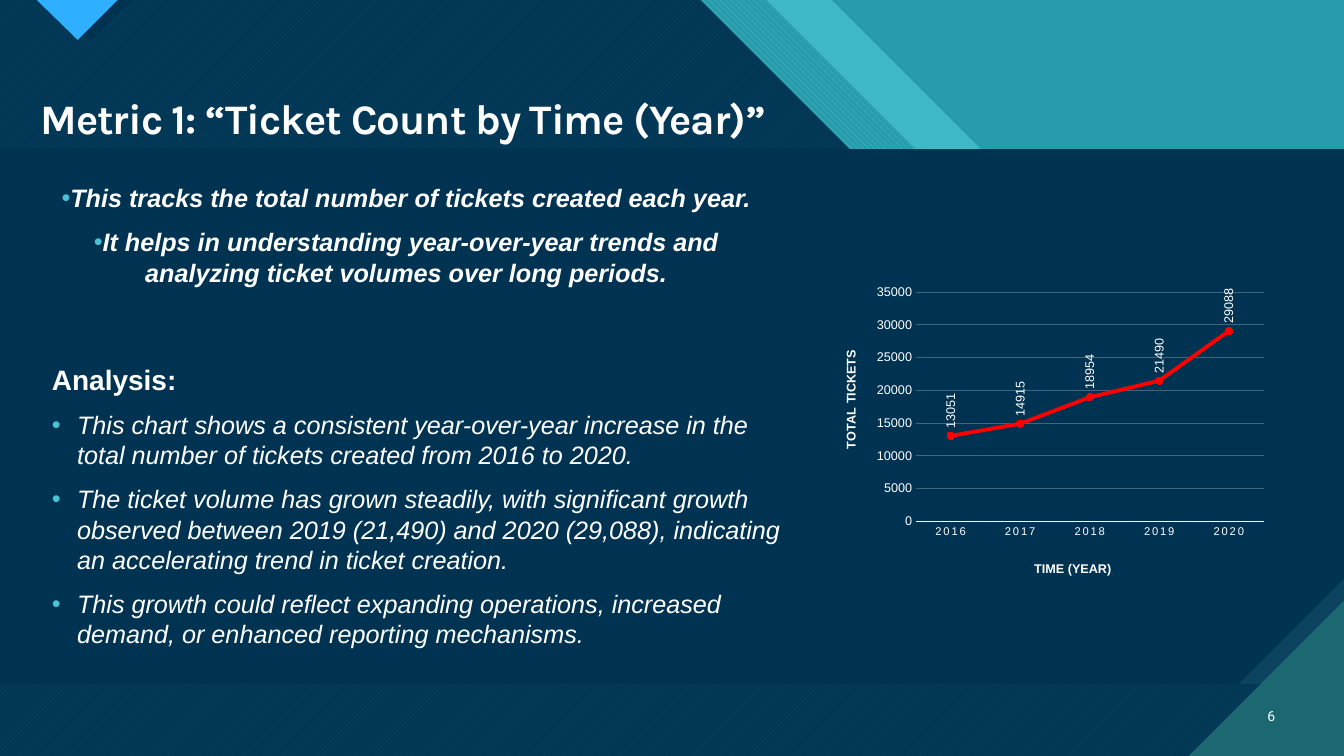
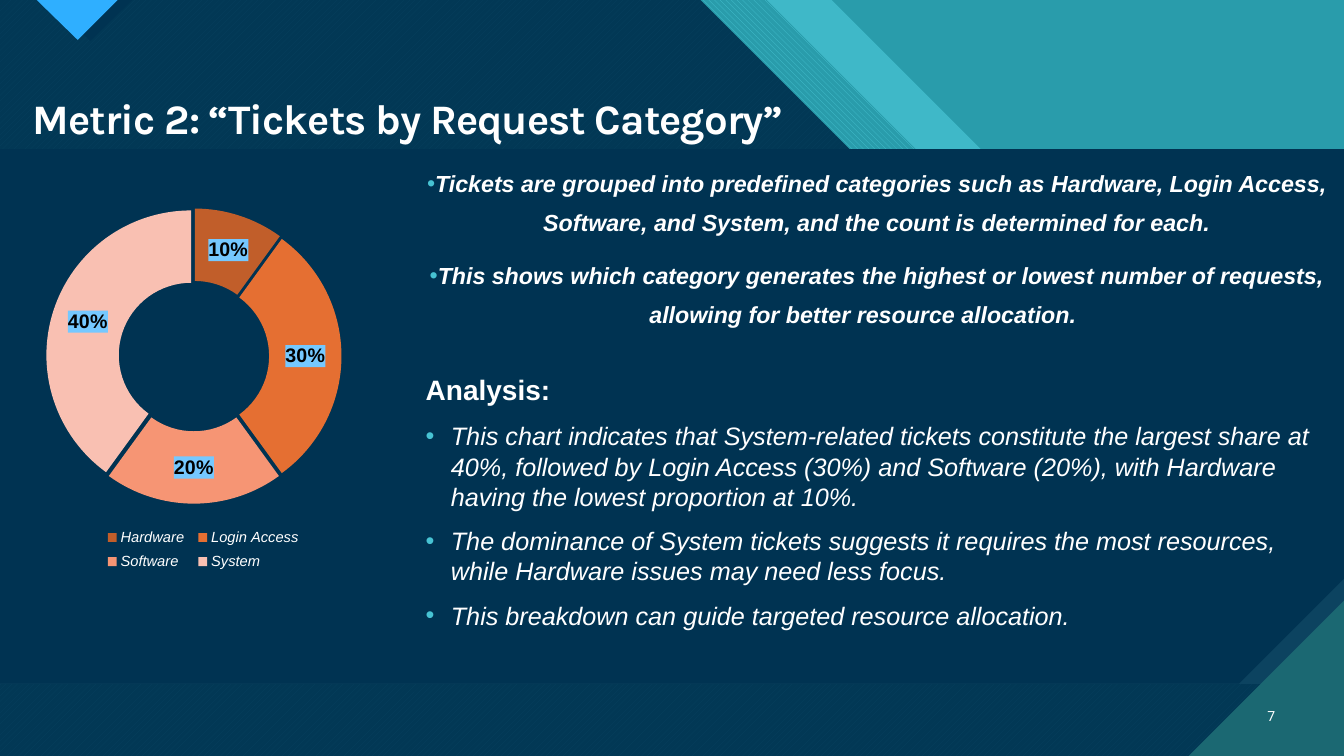
from lxml import etree
from pptx import Presentation
from pptx.chart.data import CategoryChartData
from pptx.dml.color import RGBColor
from pptx.enum.chart import (XL_CHART_TYPE, XL_LABEL_POSITION, XL_LEGEND_POSITION,
                             XL_MARKER_STYLE, XL_TICK_MARK)
from pptx.enum.dml import MSO_PATTERN
from pptx.enum.text import MSO_ANCHOR, PP_ALIGN
from pptx.oxml.ns import qn
from pptx.util import Emu, Pt

PX = 9525
WIDTH, HEIGHT = 1280, 720
PANEL_TOP, PANEL_BOTTOM, SNIP = 142, 651, 100
CORNER = 148
INDENT = 24
LEFT, CENTER, RIGHT = PP_ALIGN.LEFT, PP_ALIGN.CENTER, PP_ALIGN.RIGHT
TOP, MIDDLE = MSO_ANCHOR.TOP, MSO_ANCHOR.MIDDLE
DOWN_HATCH = MSO_PATTERN.WIDE_DOWNWARD_DIAGONAL
UP_HATCH = MSO_PATTERN.WIDE_UPWARD_DIAGONAL
LINE_CHART, DOUGHNUT = XL_CHART_TYPE.LINE_MARKERS, XL_CHART_TYPE.DOUGHNUT
NO_TICK, CIRCLE = XL_TICK_MARK.NONE, XL_MARKER_STYLE.CIRCLE
LABEL_ABOVE, LEGEND_RIGHT = XL_LABEL_POSITION.ABOVE, XL_LEGEND_POSITION.RIGHT
COLORS = {
    "teal": "299CAB", "aqua": "47C3D3", "deep": "1B6872", "navy": "003352",
    "steel": "0C4360", "blue": "2FAFFF", "white": "FFFFFF", "black": "000000",
    "grid": "40667D", "red": "FF0000", "label": "75C8FF",
    "rust": "C15E2A", "orange": "E56F32", "salmon": "F69574", "blush": "F9C0B2",
}


def rgb(name):
    """Return the named colour."""
    return RGBColor.from_string(COLORS[name])


class Deck:
    """Holds the style and the current slide."""

    def __init__(self):
        """Start an empty wide presentation."""
        self.presentation = Presentation()
        self.presentation.slide_width = Emu(WIDTH * PX)
        self.presentation.slide_height = Emu(HEIGHT * PX)
        self.slide = None

    def new_slide(self, title, title_left, number):
        """Add a slide with the shared backdrop, title and number."""
        self.slide = self.presentation.slides.add_slide(self.presentation.slide_layouts[6])
        self.backdrop()
        self.text([title], (title_left, 89, 795, 54), 30, font="Karla", bold=True,
                  spacing=0.9, tracking=-70)
        self.text([str(number)], (1182, 663, 42, 38), 10, font="Roboto",
                  align=RIGHT, anchor=MIDDLE)

    def backdrop(self):
        """Draw the diagonal bands, the panel and the corner triangles."""
        background = self.slide.background.fill
        background.solid()
        background.fore_color.rgb = rgb("teal")
        self.band(792, "aqua", alpha=74)
        self.band(730, "aqua", hatch=DOWN_HATCH, back="teal")
        self.band(667, "aqua", hatch=UP_HATCH, back="deep")
        self.band(667, "navy", alpha=90)
        self.polygon([(46, 0), (126, 0), (86, 39)], "navy")
        self.polygon([(35, 0), (112, 0), (74, 38)], "blue")
        panel = [(0, PANEL_TOP), (WIDTH, PANEL_TOP)]
        self.polygon(panel + [(WIDTH, PANEL_BOTTOM), (0, PANEL_BOTTOM)], "steel")
        self.polygon(panel + [(WIDTH, PANEL_BOTTOM - SNIP), (WIDTH - SNIP, PANEL_BOTTOM),
                              (0, PANEL_BOTTOM)], "navy")
        self.polygon([(WIDTH - CORNER, HEIGHT), (WIDTH, HEIGHT),
                      (WIDTH, HEIGHT - CORNER)], "deep")

    def band(self, edge, color, **style):
        """Draw a full-height layer whose top right edge runs diagonally."""
        drop = 2 * PANEL_TOP
        self.polygon([(0, 0), (edge, 0), (edge + drop, drop), (WIDTH, drop),
                      (WIDTH, HEIGHT), (0, HEIGHT)], color, **style)

    def polygon(self, points, color, alpha=None, hatch=None, back=None):
        """Draw a closed outline with a solid or hatched fill."""
        builder = self.slide.shapes.build_freeform(*points[0], scale=float(PX))
        builder.add_line_segments(points[1:], close=True)
        shape = builder.convert_to_shape()
        shape.shadow.inherit = False
        shape.line.fill.background()
        if hatch is None:
            shape.fill.solid()
        else:
            shape.fill.patterned()
            shape.fill.pattern = hatch
            shape.fill.back_color.rgb = rgb(back)
        shape.fill.fore_color.rgb = rgb(color)
        if alpha:
            color_node = shape.element.spPr.find(".//" + qn("a:srgbClr"))
            etree.SubElement(color_node, qn("a:alpha")).set("val", str(alpha * 1000))

    def style_font(self, font, size, color="white", name="Arial", bold=False, italic=False):
        """Set every property of a font."""
        font.name, font.size = name, Pt(size)
        font.bold, font.italic = bold, italic
        font.color.rgb = rgb(color)

    def text(self, lines, box, size, font="Arial", bold=False, italic=False, align=LEFT,
             anchor=TOP, spacing=1.0, before=0, bullet=False, indent=0, tracking=None):
        """Add a text box with one paragraph per line."""
        shape = self.slide.shapes.add_textbox(*(Emu(value * PX) for value in box))
        frame = shape.text_frame
        frame.text = "\n".join(lines)
        frame.word_wrap = True
        frame.vertical_anchor = anchor
        for paragraph in frame.paragraphs:
            paragraph.alignment = align
            paragraph.line_spacing = spacing
            paragraph.space_before = Pt(before)
            if bullet:
                self.bullet(paragraph, indent)
            for run in paragraph.runs:
                self.style_font(run.font, size, name=font, bold=bold, italic=italic)
                if tracking:
                    run.font._element.set("spc", str(tracking))

    def bullet(self, paragraph, indent):
        """Give a paragraph an aqua bullet."""
        properties = paragraph._p.get_or_add_pPr()
        properties.set("marL", str(indent * PX))
        properties.set("indent", str(-indent * PX))
        color = etree.SubElement(properties, qn("a:buClr"))
        etree.SubElement(color, qn("a:srgbClr")).set("val", COLORS["aqua"])
        etree.SubElement(properties, qn("a:buFont")).set("typeface", "Arial")
        etree.SubElement(properties, qn("a:buChar")).set("char", "•")

    def summary(self, lines, box, size, spacing=1.0):
        """Add the centred bold statements about a metric."""
        self.text(lines, box, size, bold=True, italic=True, align=CENTER,
                  spacing=spacing, before=10, bullet=True)

    def analysis(self, lines, heading_left_top, box):
        """Add the analysis heading and its bulleted findings."""
        self.text(["Analysis:"], (*heading_left_top, 145, 51), 20, bold=True,
                  spacing=0.9, before=10)
        self.text(lines, box, 18, italic=True, before=10, bullet=True, indent=INDENT)

    def chart(self, kind, categories, values, box, plot_area):
        """Add a one-series chart and return it."""
        data = CategoryChartData()
        data.categories = categories
        data.add_series("Series 1", values)
        frame = self.slide.shapes.add_chart(kind, *(Emu(value * PX) for value in box), data)
        chart = frame.chart
        chart.has_title = False
        chart.has_legend = False
        self.style_font(chart.font, 10)
        self.layout(chart.element.find(".//" + qn("c:plotArea")), plot_area, inner=True)
        return chart

    def layout(self, parent, place, inner=False):
        """Place a chart part by fractions of the chart."""
        for old in parent.findall(qn("c:layout")):
            parent.remove(old)
        layout = etree.Element(qn("c:layout"))
        manual = etree.SubElement(layout, qn("c:manualLayout"))
        settings = [("layoutTarget", "inner")] if inner else []
        settings += [("xMode", "edge"), ("yMode", "edge")]
        settings += list(zip("xywh", place))
        for tag, value in settings:
            etree.SubElement(manual, qn("c:" + tag)).set("val", str(value))
        overlay = parent.find(qn("c:overlay"))
        if overlay is None:
            parent.insert(0, layout)
        else:
            overlay.addprevious(layout)

    def axis(self, axis, title, place, size):
        """Style a chart axis and place its title."""
        axis.major_tick_mark = axis.minor_tick_mark = NO_TICK
        self.style_font(axis.tick_labels.font, size)
        frame = axis.axis_title.text_frame
        frame.text = title
        self.style_font(frame.paragraphs[0].runs[0].font, 9, bold=True)
        self.layout(axis.axis_title._element, place)

    def line_chart(self, categories, values, box):
        """Add the red line chart with upright value labels."""
        chart = self.chart(LINE_CHART, categories, values, box, (0.18, 0.2, 0.69, 0.62))
        category_axis, value_axis = chart.category_axis, chart.value_axis
        self.axis(category_axis, "TIME (YEAR)", (0.41, 0.92), 8)
        self.axis(value_axis, "TOTAL TICKETS", (0.03, 0.35), 9)
        category_axis.tick_labels.font._element.set("spc", "120")
        category_axis.format.line.color.rgb = rgb("white")
        category_axis.format.line.width = Pt(1)
        value_axis.minimum_scale, value_axis.maximum_scale = 0, 35000
        value_axis.major_unit = 5000
        value_axis.format.line.fill.background()
        value_axis.major_gridlines.format.line.color.rgb = rgb("grid")
        value_axis.major_gridlines.format.line.width = Pt(0.75)
        chart.plots[0].vary_by_categories = False
        series = chart.plots[0].series[0]
        series.smooth = False
        series.format.line.color.rgb = rgb("red")
        series.format.line.width = Pt(2.75)
        series.marker.style, series.marker.size = CIRCLE, 5
        series.marker.format.fill.solid()
        series.marker.format.fill.fore_color.rgb = rgb("red")
        series.marker.format.line.color.rgb = rgb("red")
        labels = series.data_labels
        labels.show_value = True
        labels.position = LABEL_ABOVE
        self.style_font(labels.font, 9)
        labels._element.find(".//" + qn("a:bodyPr")).set("rot", "-5400000")

    def doughnut(self, categories, values, colors, box):
        """Add the doughnut chart with percent labels and a legend."""
        chart = self.chart(DOUGHNUT, categories, values, box, (0.09, 0.08, 0.79, 0.7))
        chart.has_legend = True
        chart.legend.position = LEGEND_RIGHT
        chart.legend.include_in_layout = False
        self.style_font(chart.legend.font, 10.5, italic=True)
        self.layout(chart.legend._element, (0.23, 0.82, 0.56, 0.13))
        chart.plots[0].vary_by_categories = True
        series = chart.plots[0].series[0]
        series.format.line.fill.background()
        explosion = etree.Element(qn("c:explosion"))
        explosion.set("val", "4")
        series._element.find(qn("c:spPr")).addnext(explosion)
        for index, color in enumerate(colors):
            point = series.points[index].format
            point.fill.solid()
            point.fill.fore_color.rgb = rgb(color)
            point.line.fill.background()
        labels = series.data_labels
        labels.show_value, labels.show_percentage = False, True
        labels.number_format, labels.number_format_is_linked = "0%", False
        self.style_font(labels.font, 14, "black", bold=True)
        properties = etree.Element(qn("c:spPr"))
        fill = etree.SubElement(properties, qn("a:solidFill"))
        etree.SubElement(fill, qn("a:srgbClr")).set("val", COLORS["label"])
        labels._element.find(qn("c:txPr")).addprevious(properties)


def main():
    """Build and save both metric slides."""
    deck = Deck()
    deck.new_slide("Metric 1: “Ticket Count by Time (Year)”", 29, 6)
    deck.summary([
        "This tracks the total number of tickets created each year.",
        "It helps in understanding year-over-year trends and analyzing ticket volumes "
        "over long periods.",
    ], (40, 169, 694, 125), 18)
    deck.line_chart(["2016", "2017", "2018", "2019", "2020"],
                    [13051, 14915, 18954, 21490, 29088], (786, 208, 480, 352))
    deck.analysis([
        "This chart shows a consistent year-over-year increase in the total number of "
        "tickets created from 2016 to 2020.",
        "The ticket volume has grown steadily, with significant growth observed between "
        "2019 (21,490) and 2020 (29,088), indicating an accelerating trend in ticket creation.",
        "This growth could reflect expanding operations, increased demand, or enhanced "
        "reporting mechanisms.",
    ], (40, 344), (40, 385, 733, 284))

    deck.new_slide("Metric 2: “Tickets by Request Category”", 22, 7)
    deck.summary([
        "Tickets are grouped into predefined categories such as Hardware, Login Access, "
        "Software, and System, and the count is determined for each.",
        "This shows which category generates the highest or lowest number of requests, "
        "allowing for better resource allocation.\t",
    ], (396, 146, 877, 177), 16.6, spacing=1.4)
    deck.doughnut(["Hardware", "Login Access", "Software", "System"], [10, 30, 20, 40],
                  ["rust", "orange", "salmon", "blush"], (12, 165, 356, 405))
    deck.analysis([
        "This chart indicates that System-related tickets constitute the largest share at "
        "40%, followed by Login Access (30%) and Software (20%), with Hardware having the "
        "lowest proportion at 10%.",
        "The dominance of System tickets suggests it requires the most resources, while "
        "Hardware issues may need less focus.",
        "This breakdown can guide targeted resource allocation.",
    ], (396, 354), (396, 396, 873, 230))
    deck.presentation.save("out.pptx")


if __name__ == "__main__":
    main()
